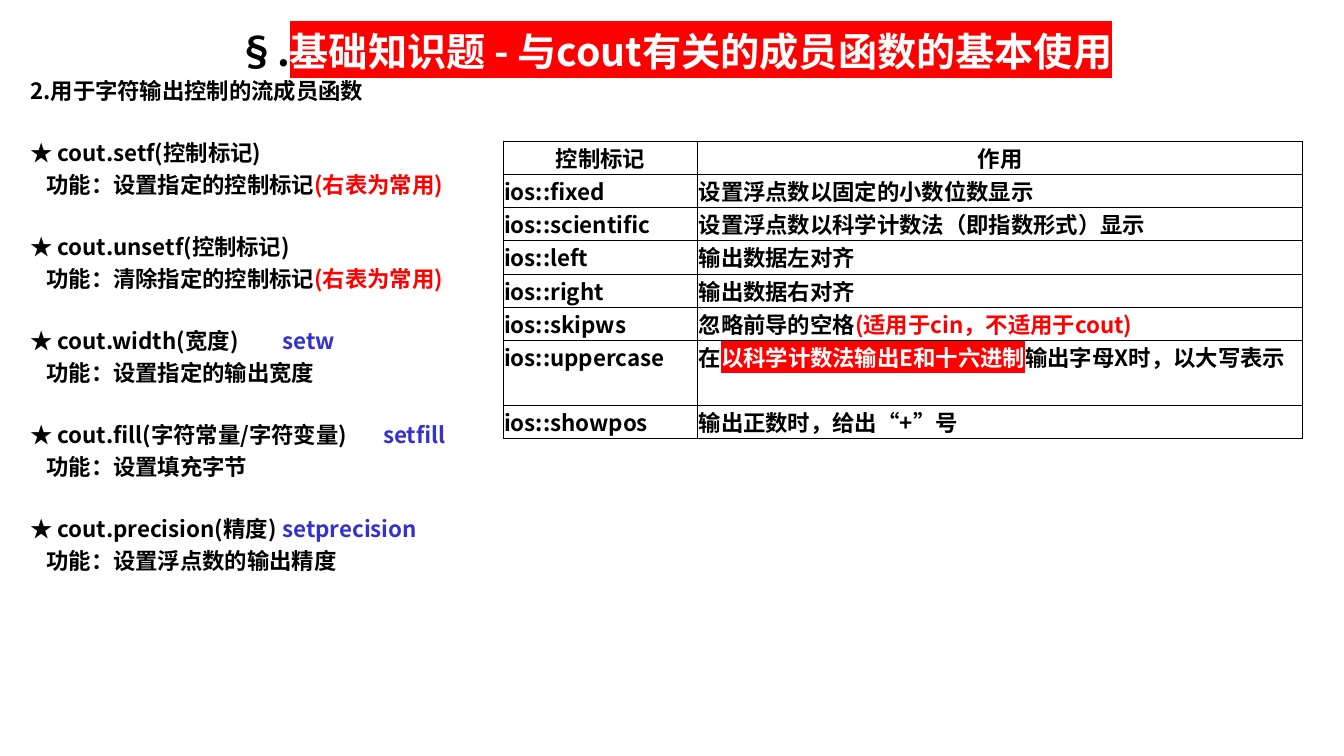
from pptx import Presentation
from pptx.dml.color import RGBColor
from pptx.enum.text import MSO_ANCHOR, MSO_AUTO_SIZE, PP_ALIGN
from pptx.oxml.ns import qn
from pptx.util import Inches, Pt
from lxml.etree import SubElement as Sub

FONT = "Noto Sans CJK SC"
BLACK, RED, BLUE, WHITE = "000000", "FF0000", "3333CC", "FFFFFF"
MARK = (WHITE, RED)  # text colour, highlight
SIZE, LINE = 16, 22.4

TITLE = [("§.", BLACK), ("基础知识题 - 与cout有关的成员函数的基本使用", MARK)]
HEAD = [("2.用于字符输出控制的流成员函数", BLACK)]
COMMON = ("(右表为常用)", RED)
# call, related manipulator, its tab stop, description
FUNCS = [
    ("★ cout.setf(控制标记)", None, 0, [("功能：设置指定的控制标记", BLACK), COMMON]),
    ("★ cout.unsetf(控制标记)", None, 0, [("功能：清除指定的控制标记", BLACK), COMMON]),
    ("★ cout.width(宽度)", "setw", 2.32, [("功能：设置指定的输出宽度", BLACK)]),
    ("★ cout.fill(字符常量/字符变量)", "setfill", 4, [("功能：设置填充字节", BLACK)]),
    ("★ cout.precision(精度)", "setprecision", 3, [("功能：设置浮点数的输出精度", BLACK)]),
]
FLAGS = [
    ("控制标记", [("作用", BLACK)]),
    ("ios::fixed", [("设置浮点数以固定的小数位数显示", BLACK)]),
    ("ios::scientific", [("设置浮点数以科学计数法（即指数形式）显示", BLACK)]),
    ("ios::left", [("输出数据左对齐", BLACK)]),
    ("ios::right", [("输出数据右对齐", BLACK)]),
    ("ios::skipws", [("忽略前导的空格", BLACK), ("(适用于cin，不适用于cout)", RED)]),
    ("ios::uppercase", [("在", BLACK), ("以科学计数法输出E和十六进制", MARK),
                        ("输出字母X时，以大写表示", BLACK)]),
    ("ios::showpos", [("输出正数时，给出“+”号", BLACK)]),
]
COLS = (1.93, 6)
ROW = 0.33


def rgb(code):
    return RGBColor.from_string(code)


def write(para, runs, size=SIZE):
    for text, style in runs:
        color, light = style if isinstance(style, tuple) else (style, None)
        run = para.add_run()
        run.text = text
        font = run.font
        font.size, font.bold = Pt(size), True
        font.color.rgb = rgb(color)
        props = run._r.get_or_add_rPr()
        if light:
            Sub(Sub(props, qn("a:highlight")), qn("a:srgbClr"), val=light)
        font.name = FONT
        Sub(props, qn("a:ea"), typeface=FONT)


def add_line(frame, runs, line=LINE, before=0, indent=0, tab=0):
    para = frame.add_paragraph() if frame.paragraphs[0].runs else frame.paragraphs[0]
    props = para._p.get_or_add_pPr()
    props.set("marL", str(Inches(indent)))
    if tab:
        Sub(Sub(props, qn("a:tabLst")), qn("a:tab"), pos=str(Inches(tab)), algn="l")
    para.alignment = PP_ALIGN.LEFT
    para.line_spacing, para.space_before = Pt(line), Pt(before)
    write(para, runs)
    return para


def border(cell):
    props = cell._tc.get_or_add_tcPr()
    for at, side in enumerate(("lnL", "lnR", "lnT", "lnB")):
        edge = Sub(props, qn("a:" + side), w=str(Pt(1)))
        Sub(Sub(edge, qn("a:solidFill")), qn("a:srgbClr"), val=BLACK)
        props.insert(at, edge)


def fill_cell(cell, runs, header):
    cell.fill.background()
    border(cell)
    cell.margin_left = cell.margin_right = Inches(0.01)
    cell.margin_top = cell.margin_bottom = 0
    cell.vertical_anchor = MSO_ANCHOR.MIDDLE if header else MSO_ANCHOR.TOP
    para = cell.text_frame.paragraphs[0]
    para.alignment = PP_ALIGN.CENTER if header else PP_ALIGN.LEFT
    write(para, runs)


def add_notes(slide):
    """Fill the subtitle placeholder with the heading and function list."""
    body = slide.placeholders[1]
    body.left, body.top, body.width, body.height = map(Inches, (0.2, 0.18, 12.99, 7.09))
    frame = body.text_frame
    frame.word_wrap, frame.auto_size = True, MSO_AUTO_SIZE.NONE
    frame.vertical_anchor = MSO_ANCHOR.TOP
    top = frame.paragraphs[0]
    top.alignment, top.line_spacing, top.space_before = PP_ALIGN.CENTER, Pt(36.4), Pt(0)
    write(top, TITLE, 28)
    add_line(frame, HEAD, line=21)
    for call, other, tab, desc in FUNCS:
        runs = [(call, BLACK)]
        if other:
            runs += [("\t", BLACK), (other, BLUE)]
        add_line(frame, runs, before=LINE, tab=tab)
        add_line(frame, desc, indent=0.16)


def add_flags(slide):
    shape = slide.shapes.add_table(len(FLAGS), len(COLS), Inches(4.99), Inches(1.4),
                                   Inches(sum(COLS)), Inches(ROW * len(FLAGS)))
    table = shape.table
    table.horz_banding = False
    for col, width in zip(table.columns, COLS):
        col.width = Inches(width)
    for at, (flag, use) in enumerate(FLAGS):
        table.rows[at].height = Inches(ROW)
        fill_cell(table.cell(at, 0), [(flag, BLACK)], at == 0)
        fill_cell(table.cell(at, 1), use, at == 0)


def main():
    deck = Presentation()
    deck.slide_width, deck.slide_height = Inches(13.33), Inches(7.5)
    slide = deck.slides.add_slide(deck.slide_layouts[0])
    title = slide.shapes.title._element
    title.getparent().remove(title)
    add_notes(slide)
    add_flags(slide)
    deck.save("out.pptx")


if __name__ == "__main__":
    main()
